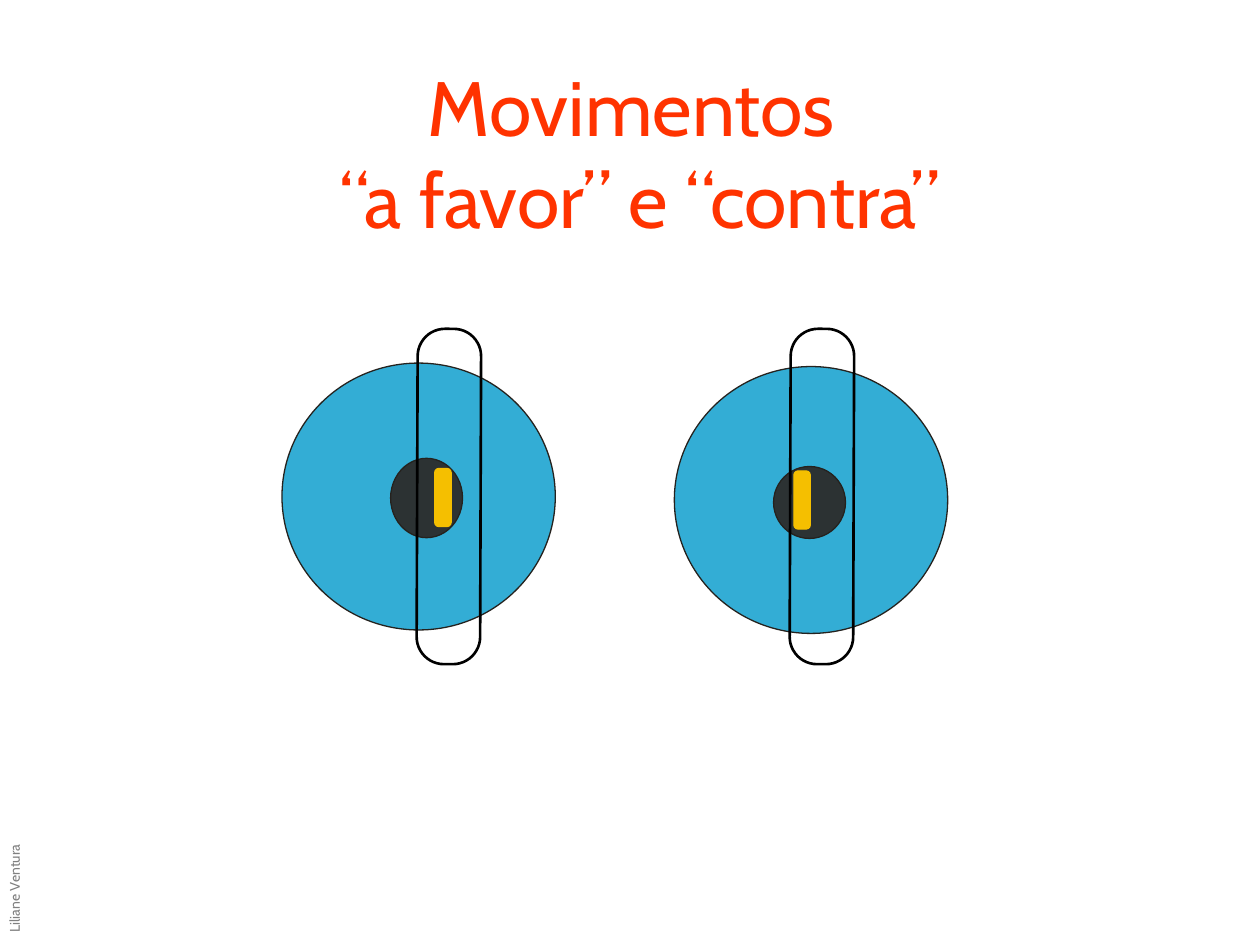
from pptx import Presentation
from pptx.dml.color import RGBColor
from pptx.enum.shapes import MSO_SHAPE as Shape
from pptx.enum.text import MSO_ANCHOR as Anchor, PP_ALIGN as Align
from pptx.util import Cm, Pt

FONT = "Cabin"
ORANGE = RGBColor(0xFF, 0x33, 0x00)
GRAY = RGBColor(0x80, 0x80, 0x80)
BLUE = RGBColor(0x33, 0xAD, 0xD5)
DARK = RGBColor(0x2C, 0x32, 0x33)
OUTLINE = RGBColor(0x25, 0x22, 0x1E)
YELLOW = RGBColor(0xF5, 0xBF, 0x00)
BLACK = RGBColor(0x00, 0x00, 0x00)

IRIS_SIZE = (5.51, 5.38)
SLIT_SIZE = (1.28, 6.76)
REFLEX_SIZE = (0.33, 1.17)


def add_text(page, text, left, top, width, height, size, color, align=Align.LEFT):
    box = page.shapes.add_textbox(Cm(left), Cm(top), Cm(width), Cm(height))
    frame = box.text_frame
    frame.word_wrap = True
    para = frame.paragraphs[0]
    para.text = text
    para.alignment = align
    para.font.name = FONT
    para.font.size = Pt(size)
    para.font.color.rgb = color
    return box


def add_centred(page, kind, center, size, fill, line, line_width=0, rounding=None):
    """Add a preset shape placed by its centre; a fill of None leaves it open."""
    (x, y), (width, height) = center, size
    shape = page.shapes.add_shape(
        kind, Cm(x - width / 2), Cm(y - height / 2), Cm(width), Cm(height))
    shape.shadow.inherit = False
    if fill is None:
        shape.fill.background()
    else:
        shape.fill.solid()
        shape.fill.fore_color.rgb = fill
    shape.line.color.rgb = line
    shape.line.width = Pt(line_width)
    if rounding is not None:
        shape.adjustments[0] = rounding
    return shape


def add_eye(page, iris, pupil, pupil_size, slit, reflex):
    """Draw an eye with the light slit across it and its reflex in the pupil."""
    add_centred(page, Shape.OVAL, iris, IRIS_SIZE, BLUE, OUTLINE)
    add_centred(page, Shape.OVAL, pupil, pupil_size, DARK, OUTLINE)
    band = add_centred(page, Shape.ROUNDED_RECTANGLE, slit, SLIT_SIZE,
                       None, BLACK, 1.5, 0.43)
    band.rotation = 0.2
    add_centred(page, Shape.ROUNDED_RECTANGLE, reflex, REFLEX_SIZE,
                YELLOW, YELLOW, rounding=0.25)


def main():
    deck = Presentation()
    deck.slide_width, deck.slide_height = Cm(25.4), Cm(19.05)
    page = deck.slides.add_slide(deck.slide_layouts[6])

    author = add_text(page, "Liliane Ventura", -2.01, 15.77, 5.28, 1.27, 8, GRAY)
    author.rotation = 270
    title = add_text(page, "Movimentos \v“a favor” e “contra”",
                     6.55, 1.47, 12.7, 3.18, 44, ORANGE, Align.CENTER)
    title.text_frame.vertical_anchor = Anchor.MIDDLE

    add_eye(page, iris=(16.35, 10.08), pupil=(16.32, 10.13), pupil_size=(1.45, 1.45),
            slit=(16.57, 10.01), reflex=(16.17, 10.08))
    add_eye(page, iris=(8.44, 10.01), pupil=(8.6, 10.04), pupil_size=(1.45, 1.6),
            slit=(9.05, 10.01), reflex=(8.93, 10.03))

    deck.save("out.pptx")


if __name__ == "__main__":
    main()
